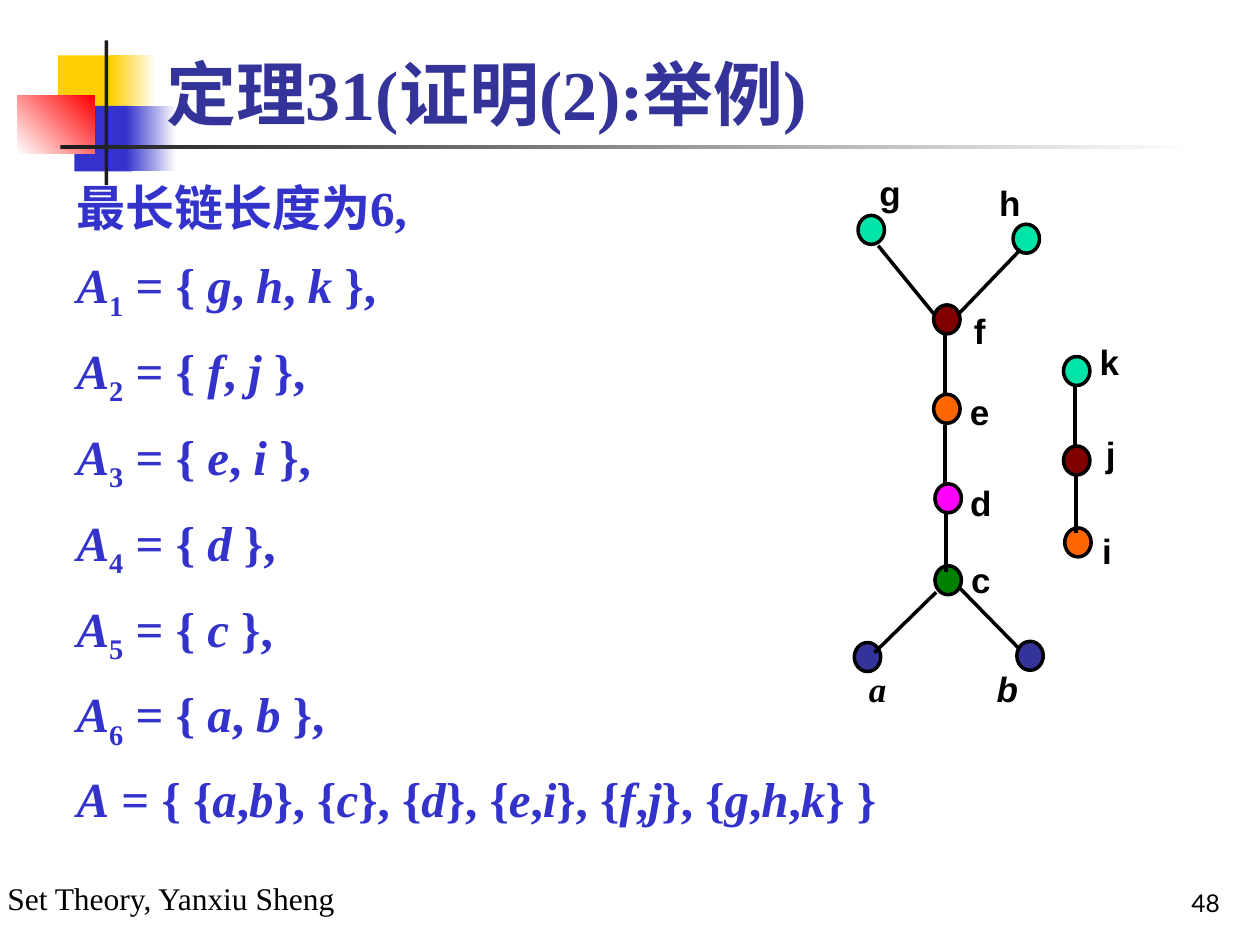
"""Build the slide showing the antichain partition of a poset and its Hasse diagram."""
import itertools

import pptx
import pptx.dml.color
import pptx.enum.shapes
import pptx.enum.text
import pptx.oxml.ns
import pptx.util
from lxml import etree

Inches = pptx.util.Inches
RGBColor = pptx.dml.color.RGBColor
Anchor = pptx.enum.text.MSO_ANCHOR
Align = pptx.enum.text.PP_ALIGN
Shape = pptx.enum.shapes.MSO_SHAPE

BLACK = RGBColor(0x00, 0x00, 0x00)
CHARCOAL = RGBColor(0x1C, 0x1C, 0x1C)
WHITE = RGBColor(0xFF, 0xFF, 0xFF)
YELLOW = RGBColor(0xFF, 0xCF, 0x01)
BLUE = RGBColor(0x33, 0x33, 0xCC)
NAVY = RGBColor(0x33, 0x33, 0x99)
RED = RGBColor(0xFF, 0x00, 0x00)
MINT = RGBColor(0x00, 0xE4, 0xA8)
MAROON = RGBColor(0x80, 0x00, 0x00)
ORANGE = RGBColor(0xFF, 0x66, 0x00)
MAGENTA = RGBColor(0xFF, 0x00, 0xFF)
GREEN = RGBColor(0x00, 0x80, 0x00)

SERIF = "Times New Roman"
SANS = "Arial"

DECORATIONS = [
    (0.46, 0.44, 0.48, 0.52, (YELLOW,), 0),
    (0.88, 0.44, 0.36, 0.52, (YELLOW, WHITE), 0),
    (0.59, 0.84, 0.46, 0.52, (BLUE,), 0),
    (1.00, 0.84, 0.40, 0.52, (BLUE, WHITE), 0),
    (0.14, 0.76, 0.61, 0.46, (WHITE, RED), 45),
    (0.83, 0.32, 0.03, 1.15, (CHARCOAL,), 0),
    (0.48, 1.15, 9.00, 0.03, (CHARCOAL, WHITE), 0),
]

LEVELS = ["g, h, k", "f, j", "e, i", "d", "c", "a, b"]
PARTITION = "A = { {a,b}, {c}, {d}, {e,i}, {f,j}, {g,h,k} }"

NODES = [
    ("g", MINT, (6.81, 1.71), (6.86, 1.31)),
    ("h", MINT, (8.04, 1.78), (7.81, 1.39)),
    ("f", MAROON, (7.41, 2.42), (7.57, 2.41)),
    ("e", ORANGE, (7.41, 3.13), (7.57, 3.05)),
    ("d", MAGENTA, (7.42, 3.84), (7.58, 3.77)),
    ("c", GREEN, (7.42, 4.49), (7.58, 4.38)),
    ("a", NAVY, (6.78, 5.10), (6.76, 5.25)),
    ("b", NAVY, (8.07, 5.09), (7.79, 5.25)),
    ("k", MINT, (8.44, 2.83), (8.60, 2.65)),
    ("j", MAROON, (8.44, 3.54), (8.61, 3.38)),
    ("i", ORANGE, (8.45, 4.19), (8.58, 4.15)),
]

EDGES = [
    ((6.97, 1.95), (7.41, 2.49)),
    ((8.10, 1.98), (7.61, 2.49)),
    ((7.50, 2.66), (7.50, 3.12)),
    ((7.50, 3.37), (7.50, 3.83)),
    ((7.51, 4.08), (7.51, 4.54)),
    ((7.43, 4.70), (6.94, 5.18)),
    ((7.62, 4.67), (8.09, 5.15)),
    ((8.53, 3.07), (8.53, 3.53)),
    ((8.54, 3.78), (8.54, 4.23)),
]


def character_style(character):
    if character.isalpha():
        return "italic"
    return "subscript" if character.isdigit() else "plain"


def formula_runs(formula):
    return [("".join(group), style)
            for style, group in itertools.groupby(formula, character_style)]


class SlideWriter:
    def __init__(self, slide):
        self.slide = slide
        self.line_width = pptx.util.Pt(2)
        self.node_size = (0.21, 0.23)
        self.label_size = (0.41, 0.31)

    def filled_shape(self, kind, left, top, width, height, colors, angle=0):
        shape = self.slide.shapes.add_shape(
            kind, Inches(left), Inches(top), Inches(width), Inches(height))
        shape.shadow.inherit = False
        shape.line.fill.background()
        if len(colors) == 1:
            shape.fill.solid()
            shape.fill.fore_color.rgb = colors[0]
        else:
            shape.fill.gradient()
            shape.fill.gradient_angle = angle
            for stop, color in zip(shape.fill.gradient_stops, colors):
                stop.color.rgb = color
        return shape

    def text(self, left, top, width, height, paragraphs, size, color, font=SERIF,
             bold=False, align=Align.LEFT, anchor=Anchor.TOP,
             line_spacing=1.0, space_before=0):
        box = self.slide.shapes.add_textbox(
            Inches(left), Inches(top), Inches(width), Inches(height))
        frame = box.text_frame
        frame.word_wrap = True
        frame.vertical_anchor = anchor
        for index, runs in enumerate(paragraphs):
            paragraph = frame.add_paragraph() if index else frame.paragraphs[0]
            paragraph.alignment = align
            paragraph.line_spacing = line_spacing
            paragraph.space_before = pptx.util.Pt(space_before if index else 0)
            for content, style in runs:
                run = paragraph.add_run()
                run.text = content
                run.font.name = font
                run.font.size = pptx.util.Pt(size)
                run.font.bold = bold
                run.font.italic = style == "italic"
                run.font.color.rgb = color
                if style == "subscript":
                    run._r.get_or_add_rPr().set("baseline", "-25000")

    def node(self, position, color):
        shape = self.filled_shape(Shape.OVAL, *position, *self.node_size, [color])
        shape.line.color.rgb = BLACK
        shape.line.width = self.line_width

    def edge(self, start, end):
        connector = self.slide.shapes.add_connector(
            pptx.enum.shapes.MSO_CONNECTOR.STRAIGHT,
            *(Inches(value) for value in start + end))
        connector.line.color.rgb = BLACK
        connector.line.width = self.line_width
        etree.SubElement(connector._element.spPr, pptx.oxml.ns.qn("a:effectLst"))

    def label(self, position, name):
        style = "italic" if name in "ab" else "plain"
        self.text(*position, *self.label_size, [[(name, style)]], 20, BLACK,
                  font=SERIF if name == "a" else SANS, bold=True, align=Align.CENTER)


def main():
    presentation = pptx.Presentation()
    presentation.slide_width = Inches(10)
    presentation.slide_height = Inches(7.5)
    writer = SlideWriter(presentation.slides.add_slide(presentation.slide_layouts[6]))

    for left, top, width, height, colors, angle in DECORATIONS:
        writer.filled_shape(Shape.RECTANGLE, left, top, width, height, colors, angle)

    writer.text(-0.04, 6.9, 3.6, 0.43, [[("Set Theory, Yanxiu Sheng", "plain")]],
                18, BLACK, line_spacing=1.1)
    writer.text(7.7, 6.83, 2.08, 0.5, [[("48", "plain")]], 14, BLACK,
                font="Lato", align=Align.RIGHT, anchor=Anchor.BOTTOM)
    writer.text(1.22, 0.28, 8.52, 0.84, [[("定理31(证明(2):举例)", "plain")]],
                40, NAVY, bold=True, anchor=Anchor.BOTTOM)

    formulas = [f"A{number} = {{ {members} }},"
                for number, members in enumerate(LEVELS, 1)]
    body = [[("最长链长度为6,", "plain")]]
    body += [formula_runs(formula) for formula in formulas + [PARTITION]]
    writer.text(0.51, 1.31, 9.13, 5.43, body, 28, BLUE, bold=True,
                line_spacing=1.1, space_before=7)

    for name, color, position, label_position in NODES:
        writer.node(position, color)
        writer.label(label_position, name)
    for start, end in EDGES:
        writer.edge(start, end)

    presentation.save("out.pptx")


if __name__ == "__main__":
    main()
